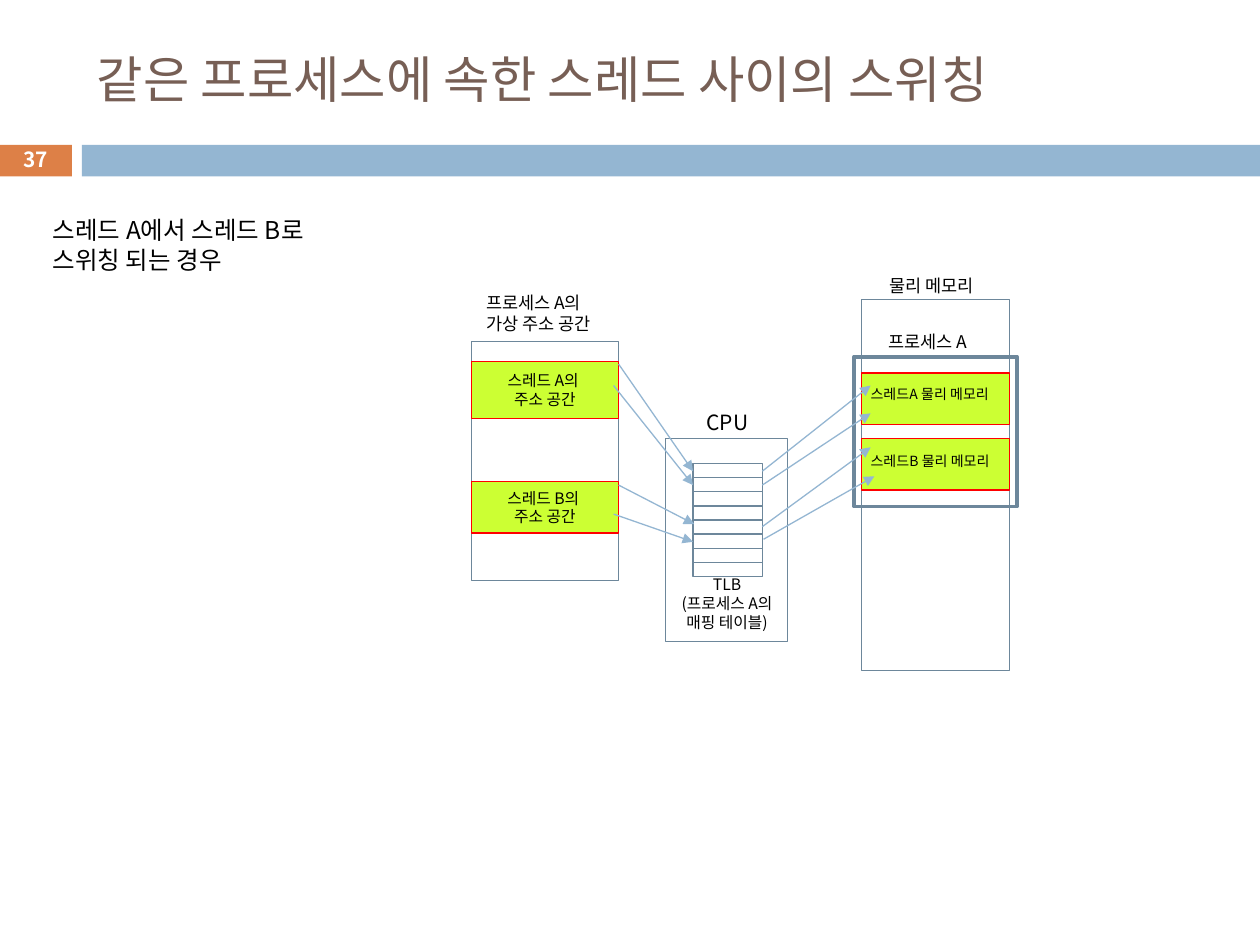
from dataclasses import dataclass

from lxml import etree
from pptx import Presentation, util as u
from pptx.dml.color import RGBColor
from pptx.enum import shapes, text
from pptx.oxml import ns

COLUMNS, ROWS = 100, 75
CELL = u.Inches(0.1)


@dataclass(frozen=True)
class Theme:
    font: str = "Noto Sans CJK KR"
    title: str = "775F55"
    ink: str = "000000"
    paper: str = "FFFFFF"
    accent: str = "DD8047"
    band: str = "94B6D2"
    outline: str = "6D879B"
    used: str = "CCFF33"
    used_edge: str = "FF0000"
    title_size: float = 28.8
    number_size: float = 11.9
    body_size: float = 14
    cpu_size: float = 12
    label_size: float = 10
    space_size: float = 9
    memory_size: float = 8
    thin: float = 0.75
    thick: float = 2.25


THEME = Theme()
CENTER = text.PP_ALIGN.CENTER
MIDDLE = text.MSO_ANCHOR.MIDDLE


def cells(*counts):
    return [round(count * CELL) for count in counts]


def write(shape, lines, size, color=THEME.ink, align=text.PP_ALIGN.LEFT,
          anchor=text.MSO_ANCHOR.TOP, inset=True, wrap=True, bold=False):
    frame = shape.text_frame
    frame.word_wrap = wrap
    frame.vertical_anchor = anchor
    if not inset:
        frame.margin_left = frame.margin_right = 0
        frame.margin_top = frame.margin_bottom = 0
    frame.text = "\n".join(lines)
    for para in frame.paragraphs:
        para.alignment = align
        font = para.font
        font.name, font.size, font.bold = THEME.font, u.Pt(size), bold
        font.color.rgb = RGBColor.from_string(color)
        east_asian = etree.SubElement(para._p.pPr.find(ns.qn("a:defRPr")), ns.qn("a:ea"))
        east_asian.set("typeface", THEME.font)


def add_label(page, area, lines, size, **style):
    box = page.shapes.add_textbox(*cells(*area))
    write(box, lines, size, **style)


def add_block(page, area, fill=None, edge=None, weight=THEME.thin,
              kind=shapes.MSO_SHAPE.RECTANGLE):
    block = page.shapes.add_shape(kind, *cells(*area))
    block.shadow.inherit = False
    if fill:
        block.fill.solid()
        block.fill.fore_color.rgb = RGBColor.from_string(fill)
    else:
        block.fill.background()
    if edge:
        block.line.color.rgb = RGBColor.from_string(edge)
        block.line.width = u.Pt(weight)
    else:
        block.line.fill.background()
    return block


def add_used_block(page, area):
    return add_block(page, area, THEME.used, THEME.used_edge)


def add_arrow(page, start, end):
    arrow = page.shapes.add_connector(shapes.MSO_CONNECTOR.STRAIGHT, *cells(*start, *end))
    arrow.line.color.rgb = RGBColor.from_string(THEME.band)
    arrow.line.width = u.Pt(THEME.thin)
    etree.SubElement(arrow.line._get_or_add_ln(), ns.qn("a:tailEnd"), type="triangle")
    etree.SubElement(arrow._element.spPr, ns.qn("a:effectLst"))


def add_header(page):
    add_block(page, (-0.1, 11.5, 5.8, 2.5), THEME.accent)
    add_block(page, (6.5, 11.5, COLUMNS - 6.5, 2.5), THEME.band)
    add_label(page, (6.7, 2.5, 89.2, 7.4), ["같은 프로세스에 속한 스레드 사이의 스위칭"],
              THEME.title_size, color=THEME.title, anchor=MIDDLE)
    add_label(page, (-0.1, 11.3, 5.8, 2.7), ["37"], THEME.number_size,
              color=THEME.paper, align=CENTER, anchor=MIDDLE, bold=True)


def add_physical_memory(page):
    left, width = 68.4, 11.7
    add_block(page, (left, 23.8, width, 29.4), THEME.paper, THEME.outline)
    for name, top, label_top in (("A", 29.6, 30.6), ("B", 34.8, 35.9)):
        add_used_block(page, (left, top, width, 4.1))
        add_label(page, (69.1, label_top, 10.6, 1.3), [f"스레드{name} 물리 메모리"],
                  THEME.memory_size, inset=False)
    add_block(page, (67.8, 28.3, 12.9, 11.9), edge=THEME.outline, weight=THEME.thick)
    add_label(page, (70.5, 26.3, 8.7, 1.7), ["프로세스 A"], THEME.label_size, inset=False)
    add_label(page, (70.6, 21.8, 9.4, 1.7), ["물리 메모리"], THEME.label_size, inset=False)


def add_cpu(page):
    add_block(page, (52.8, 34.8, 9.7, 16.1), edge=THEME.outline,
              kind=shapes.MSO_SHAPE.FLOWCHART_PROCESS)
    add_label(page, (55.1, 32, 6.3, 3), ["CPU"], THEME.cpu_size)
    entry_height = 1.12
    for entry in range(8):
        add_block(page, (55, 36.8 + entry * entry_height, 5.5, entry_height),
                  edge=THEME.outline)
    add_label(page, (52.6, 45.1, 10.2, 5.6), ["TLB", "(프로세스 A의", "매핑 테이블)"],
              THEME.space_size, align=CENTER)


def add_virtual_space(page):
    left, width = 37.4, 11.7
    add_block(page, (left, 27.1, width, 19), THEME.paper, THEME.outline)
    add_label(page, (38.6, 23.2, 9.4, 3.4), ["프로세스 A의", "가상 주소 공간"],
              THEME.label_size, inset=False)
    for name, top, height in (("A", 28.7, 4.5), ("B", 38.2, 4.1)):
        block = add_used_block(page, (left, top, width, height))
        write(block, [f"스레드 {name}의 ", "주소 공간"], THEME.space_size,
              align=CENTER, anchor=MIDDLE)


def add_mappings(page):
    """Arrows from virtual space to TLB entries, and on to physical memory."""
    to_tlb = (
        ((49.1, 28.9), (55, 37.4)),
        ((48.7, 30.6), (55, 38.5)),
        ((49.1, 38.5), (55.1, 41.6)),
        ((48.7, 40.8), (55, 43)),
    )
    to_memory = (
        ((60.5, 37.4), (69.1, 30.6)),
        ((60.5, 38.5), (69.1, 32.8)),
        ((60.5, 41.8), (69.1, 35.5)),
        ((60.6, 42.8), (69.4, 37.8)),
    )
    for start, end in to_tlb + to_memory:
        add_arrow(page, start, end)


def main():
    deck = Presentation()
    deck.slide_width, deck.slide_height = cells(COLUMNS, ROWS)
    page = deck.slides.add_slide(deck.slide_layouts[6])
    add_header(page)
    add_physical_memory(page)
    add_cpu(page)
    add_virtual_space(page)
    add_mappings(page)
    add_label(page, (3.2, 16.6, 24.2, 5.7), ["스레드 A에서 스레드 B로", "스위칭 되는 경우"],
              THEME.body_size, wrap=False)
    deck.save("out.pptx")


if __name__ == "__main__":
    main()
